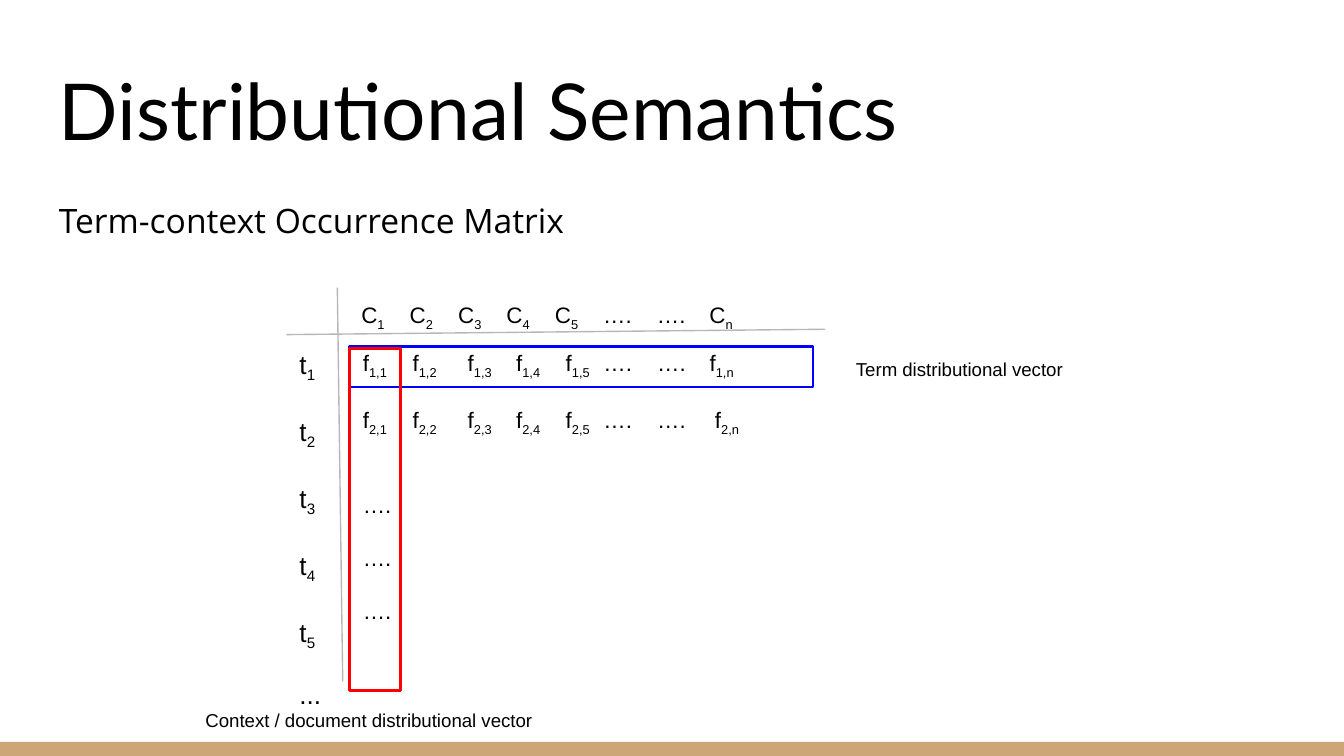
import lxml.etree
import pptx
import pptx.dml.color
import pptx.enum.shapes
import pptx.enum.text
import pptx.oxml.ns
import pptx.util

Inches, Pt = pptx.util.Inches, pptx.util.Pt
qn = pptx.oxml.ns.qn


def rgb(value):
    return pptx.dml.color.RGBColor.from_string(value)


def add_text(box, rows, size, font="Arial", tabs=(), before=(), inset=0.1):
    """Add a text box of tabbed rows; "f_1" in a cell sets 1 as a subscript."""
    tf = s.shapes.add_textbox(*map(Inches, box)).text_frame
    frame = dict(word_wrap=True, margin_left=Inches(inset), margin_right=Inches(0.1),
                 margin_top=Inches(0.1), margin_bottom=Inches(0.1))
    for name, value in frame.items():
        setattr(tf, name, value)
    for i, row in enumerate(rows):
        p = tf.add_paragraph() if i else tf.paragraphs[0]
        if tabs:
            stops = lxml.etree.SubElement(p._p.get_or_add_pPr(), qn("a:tabLst"))
            for stop in tabs[min(i, len(tabs) - 1)]:
                lxml.etree.SubElement(stops, qn("a:tab"), pos=str(Inches(stop)), algn="l")
        if i and before:
            p.space_before = Pt(before[i - 1])
        for j, cell in enumerate(row):
            base, _, sub = cell.partition("_")
            for text, lowered in (("\t" * bool(j) + base, False), (sub, True)):
                if not text:
                    continue
                r = p.add_run()
                r.text = text
                for name, value in dict(size=Pt(size), name=font).items():
                    setattr(r.font, name, value)
                r.font.color.rgb = rgb("000000")
                if lowered:
                    r._r.get_or_add_rPr().set("baseline", "-25000")
    return tf


prs = pptx.Presentation()
prs.slide_width = Inches(10)
prs.slide_height = prs.slide_width * 9 // 16
s = prs.slides.add_slide(prs.slide_layouts[6])
RECT = pptx.enum.shapes.MSO_SHAPE.RECTANGLE

footer = s.shapes.add_shape(RECT, Inches(0), Inches(5.52), Inches(10), Inches(0.11))
footer.shadow.inherit = False
footer.fill.solid()
footer.fill.fore_color.rgb = rgb("CCA677")
footer.line.fill.background()

title = add_text((0.34, 0.35, 9.32, 0.91), [["Distributional Semantics"]], 42, "Lato")
title.vertical_anchor = pptx.enum.text.MSO_ANCHOR.BOTTOM
body = add_text((0.34, 1.34, 9.32, 3.67), [["Term-context Occurrence Matrix"]], 18, "Open Sans")
body.paragraphs[0].line_spacing = 1.15
body.paragraphs[0].space_after = Pt(16)

# Matrix axes
for ends in ((2.51, 2.14, 2.55, 5.07), (2.13, 2.49, 6.14, 2.45)):
    axis = s.shapes.add_connector(pptx.enum.shapes.MSO_CONNECTOR.STRAIGHT, *map(Inches, ends))
    axis.line.color.rgb = rgb("B7B7B7")
    axis.line.width = Pt(0.75)
    lxml.etree.SubElement(axis._element.spPr, qn("a:effectLst"))

# Context headings, term headings and frequencies
numbers = range(1, 6)
contexts = [f"C_{n}" for n in numbers] + ["….", "….", "C_n"]
add_text((2.59, 2.14, 5.6, 0.3), [contexts], 12,
         tabs=[[0.36, 0.72, 1.08, 1.44, 1.8, 2.2, 2.59]])

terms = [[f"t_{n}"] for n in numbers] + [["..."]]
add_text((2.13, 2.49, 0.38, 2.59), terms, 14, before=[16.8] * 4 + [14])

frequencies = [[f"f_{t},{n}" for n in numbers] + ["….", "….", f"f_{t},n"] for t in (1, 2)]
stops = [0.37, 0.78, 1.14, 1.51, 1.79, 2.19]
add_text((2.51, 2.5, 5.6, 0.65), frequencies + [["…."]] * 3, 12,
         tabs=[stops + [2.58], stops + [2.62]], before=[14, 29, 14.2, 14.2], inset=0.19)

# Highlighted row and column with their labels
for box, color, label_box, label in (
    ((2.6, 2.58, 3.45, 0.3), "0000FF", (6.27, 2.58, 2.18, 0.35), "Term distributional vector"),
    ((2.6, 2.59, 0.38, 2.55), "FF0000", (1.43, 5.19, 2.72, 0.3),
     "Context / document distributional vector"),
):
    sp = s.shapes.add_shape(RECT, *map(Inches, box))
    sp.shadow.inherit = False
    sp.fill.background()
    sp.line.color.rgb = rgb(color)
    sp.line.width = Pt(1.5)
    add_text(label_box, [[label]], 10)

prs.save("out.pptx")
